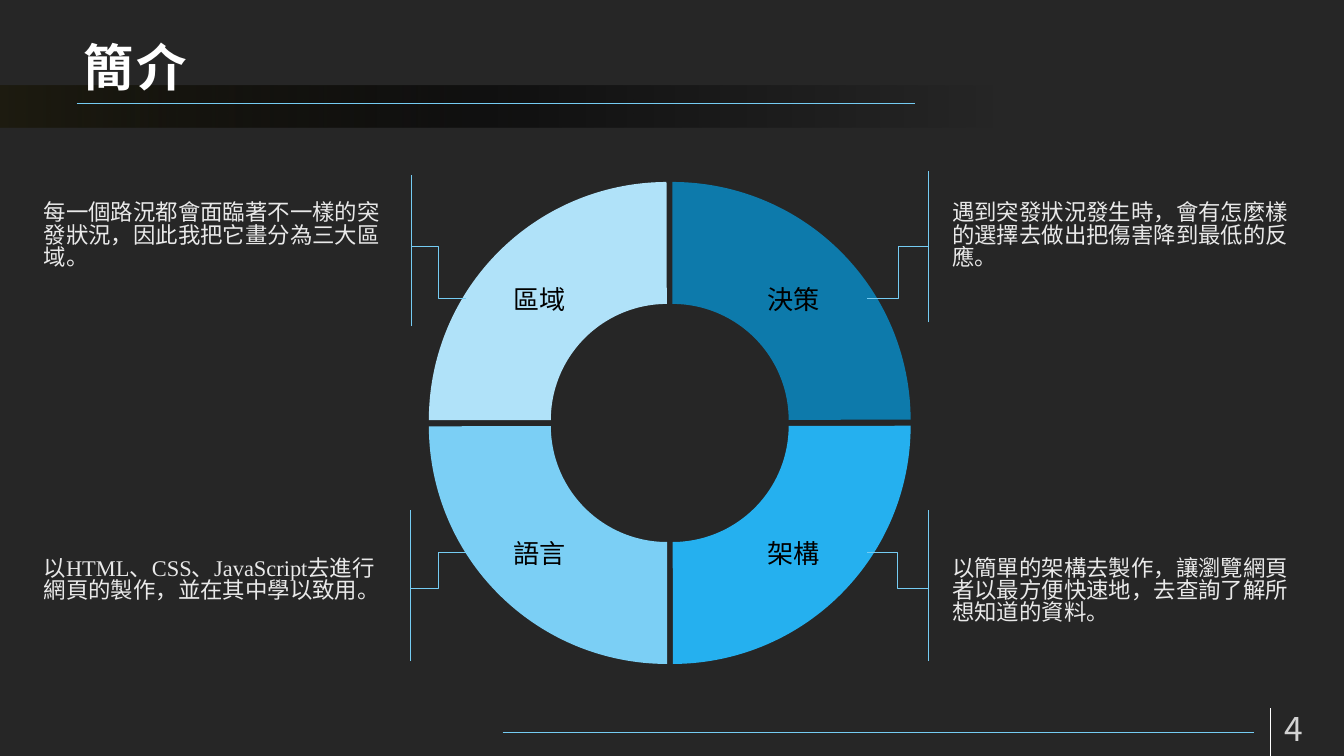
"""Build the introduction slide: a four-part ring with a described topic in each quarter."""
from dataclasses import dataclass

from lxml.etree import SubElement
from pptx import Presentation
from pptx.dml.color import RGBColor
from pptx.enum.shapes import MSO_CONNECTOR as Connector, MSO_SHAPE as Preset
from pptx.enum.text import MSO_ANCHOR as Anchor, MSO_AUTO_SIZE as AutoSize, PP_ALIGN as Align
from pptx.oxml.ns import qn
from pptx.util import Cm, Pt

COLORS = {
    "background": "262626", "white": "FFFFFF", "black": "000000", "line": "75CCF3",
    "band": "1E1C11", "area": "B0E2F9", "decision": "0D7AAB",
    "structure": "25B0EF", "language": "7BCFF5",
}
CJK_FONT, LATIN_FONT = "Noto Sans CJK SC", "Times New Roman"
RING_SIZE = 18.01
RULE_LENGTH = 5.71


@dataclass(frozen=True)
class Quarter:
    """One quarter of the ring with its label, description and side rule."""
    label: str
    description: tuple[str, ...]
    color: str
    rotation: int
    is_right: bool
    is_lower: bool
    rule_left: float
    rule_top: float


@dataclass(frozen=True)
class TextStyle:
    """How the text of one box looks."""
    size: int
    color: str = "white"
    opacity: int = 100
    bold: bool = False
    tracking: int = 0
    align: Align = Align.LEFT
    anchor: Anchor = Anchor.TOP
    line_spacing: float = 1.0


TITLE = TextStyle(54, bold=True, tracking=300, anchor=Anchor.BOTTOM)
NUMBER = TextStyle(36, opacity=80, anchor=Anchor.MIDDLE)
DESCRIPTION = TextStyle(24, opacity=90, line_spacing=0.83)
LABEL = TextStyle(28, "black", align=Align.CENTER, anchor=Anchor.MIDDLE)

QUARTERS = (
    Quarter("區域", ("每一個路況都會面臨著不一樣的突發狀況，因此我把它畫分為三大區域。",),
            "area", 0, False, False, 15.54, 6.62),
    Quarter("決策", ("遇到突發狀況發生時，會有怎麼樣的選擇去做出把傷害降到最低的反應。",),
            "decision", 90, True, False, 35.1, 6.48),
    Quarter("架構", ("以簡單的架構去製作，讓瀏覽網頁者以最方便快速地，去查詢了解所想知道的資料。",),
            "structure", 180, True, True, 35.08, 19.28),
    Quarter("語言", ("以", "HTML", "、", "CSS", "、", "JavaScript", "去進行網頁的製作，並在其中學以致用。"),
            "language", 270, False, True, 15.52, 19.28),
)


def rgb(name: str) -> RGBColor:
    """Return a named colour."""
    return RGBColor.from_string(COLORS[name])


def set_opacity(color_element, percent: int) -> None:
    """Make a colour partly transparent."""
    if percent < 100:
        SubElement(color_element, qn("a:alpha"), val=str(percent * 1000))


def set_values(target, values: dict) -> None:
    """Set each attribute of the target from a dict."""
    for name, value in values.items():
        setattr(target, name, value)


def add_line(slide, kind, begin: tuple, end: tuple, color: str = "line") -> None:
    """Draw a thin line between two points given in centimetres."""
    connector = slide.shapes.add_connector(kind, *map(Cm, begin + end))
    connector.line.color.rgb = rgb(color)
    connector.line.width = Pt(0.75)
    SubElement(connector._element.spPr, qn("a:effectLst"))


def add_plain_shape(slide, preset, box: tuple):
    """Add a shape without outline or shadow."""
    shape = slide.shapes.add_shape(preset, *map(Cm, box))
    shape.shadow.inherit = False
    shape.line.fill.background()
    return shape


def add_band(slide) -> None:
    """Draw the dark band that fades out to the right."""
    band = add_plain_shape(slide, Preset.RECTANGLE, (0, 3.23, 50.8, 1.6))
    band.fill.gradient()
    band.fill.gradient_angle = 0
    stops = band._element.spPr.find(".//" + qn("a:gsLst"))
    stops.clear()
    for position, color, opacity in ((0, "band", 100), (39, "black", 54), (74, "black", 0)):
        stop = SubElement(stops, qn("a:gs"), pos=str(position * 1000))
        set_opacity(SubElement(stop, qn("a:srgbClr"), val=COLORS[color]), opacity)


def fill_text(shape, box: tuple, segments: tuple[str, ...], style: TextStyle) -> None:
    """Place a text shape in front and write its styled runs."""
    set_values(shape, dict(zip(("left", "top", "width", "height"), map(Cm, box))))
    shape._element.getparent().append(shape._element)
    frame = shape.text_frame
    set_values(frame, {
        "word_wrap": True, "auto_size": AutoSize.NONE, "vertical_anchor": style.anchor,
        "margin_left": Cm(0.46), "margin_right": Cm(0.46),
        "margin_top": Cm(0.23), "margin_bottom": Cm(0.23),
    })
    paragraph = frame.paragraphs[0]
    set_values(paragraph, {"alignment": style.align, "line_spacing": style.line_spacing,
                           "space_before": Pt(0)})
    properties = paragraph._p.get_or_add_pPr()
    properties.set("marL", "0")
    properties.set("indent", "0")
    SubElement(properties, qn("a:buNone"))
    for segment in segments:
        run = paragraph.add_run()
        run.text = segment
        is_latin = segment.isascii() and segment.isalpha()
        set_values(run.font, {"size": Pt(style.size), "bold": style.bold,
                              "name": LATIN_FONT if is_latin else CJK_FONT})
        run.font.color.rgb = rgb(style.color)
        run_properties = run._r.get_or_add_rPr()
        set_opacity(run_properties.find(".//" + qn("a:srgbClr")), style.opacity)
        SubElement(run_properties, qn("a:ea"), typeface=CJK_FONT)
        if style.tracking:
            run_properties.set("spc", str(style.tracking))


def add_text(slide, box: tuple, text: str, style: TextStyle) -> None:
    """Add a text box."""
    fill_text(slide.shapes.add_textbox(*map(Cm, box)), box, (text,), style)


def add_quarter(slide, quarter: Quarter, placeholder) -> None:
    """Draw one ring quarter with its lines, label and description."""
    right, lower = quarter.is_right, quarter.is_lower
    arc_box = (16.41 if right else 16.21, 7.09 if lower else 6.88, RING_SIZE, RING_SIZE)
    arc = add_plain_shape(slide, Preset.BLOCK_ARC, arc_box)
    arc.rotation = quarter.rotation
    for index, value in enumerate((108, 161.915, 0.256)):
        arc.adjustments[index] = value
    arc.fill.solid()
    arc.fill.fore_color.rgb = rgb(quarter.color)

    rule_left, rule_top = quarter.rule_left, quarter.rule_top
    add_line(slide, Connector.STRAIGHT, (rule_left, rule_top + RULE_LENGTH), (rule_left, rule_top))
    label_edge = (32.79 if right else 17.6, 20.88 if lower else 11.28)
    add_line(slide, Connector.ELBOW, label_edge, (rule_left, 22.23 if lower else 9.32))

    label_box = (27.2 if right else 17.6, 19.89 if lower else 10.29, 5.59, 2.01)
    add_text(slide, label_box, quarter.label, LABEL)
    description_box = (35.53 if right else 1.19, 20.88 if lower else 7.44, 13.99, 3.4)
    fill_text(placeholder, description_box, quarter.description, DESCRIPTION)


def main() -> None:
    """Build and save the slide."""
    presentation = Presentation()
    set_values(presentation, {"slide_width": Cm(50.8), "slide_height": Cm(28.58)})
    slide = presentation.slides.add_slide(presentation.slide_layouts.get_by_name("Comparison"))
    slide.background.fill.solid()
    slide.background.fill.fore_color.rgb = rgb("background")
    title, *bodies = list(slide.placeholders)

    add_band(slide)
    add_line(slide, Connector.STRAIGHT, (48.01, 26.77), (48.01, 28.58), "white")
    fill_text(title, (2.69, 0.46, 45.72, 3.43), ("簡介",), TITLE)
    for quarter, body in zip(QUARTERS, bodies):
        add_quarter(slide, quarter, body)
    add_text(slide, (48.08, 26.77, 2.92, 1.52), "4", NUMBER)
    add_line(slide, Connector.STRAIGHT, (2.9, 3.89), (34.59, 3.89))
    add_line(slide, Connector.STRAIGHT, (19, 27.69), (47.4, 27.69))
    presentation.save("out.pptx")


if __name__ == "__main__":
    main()
